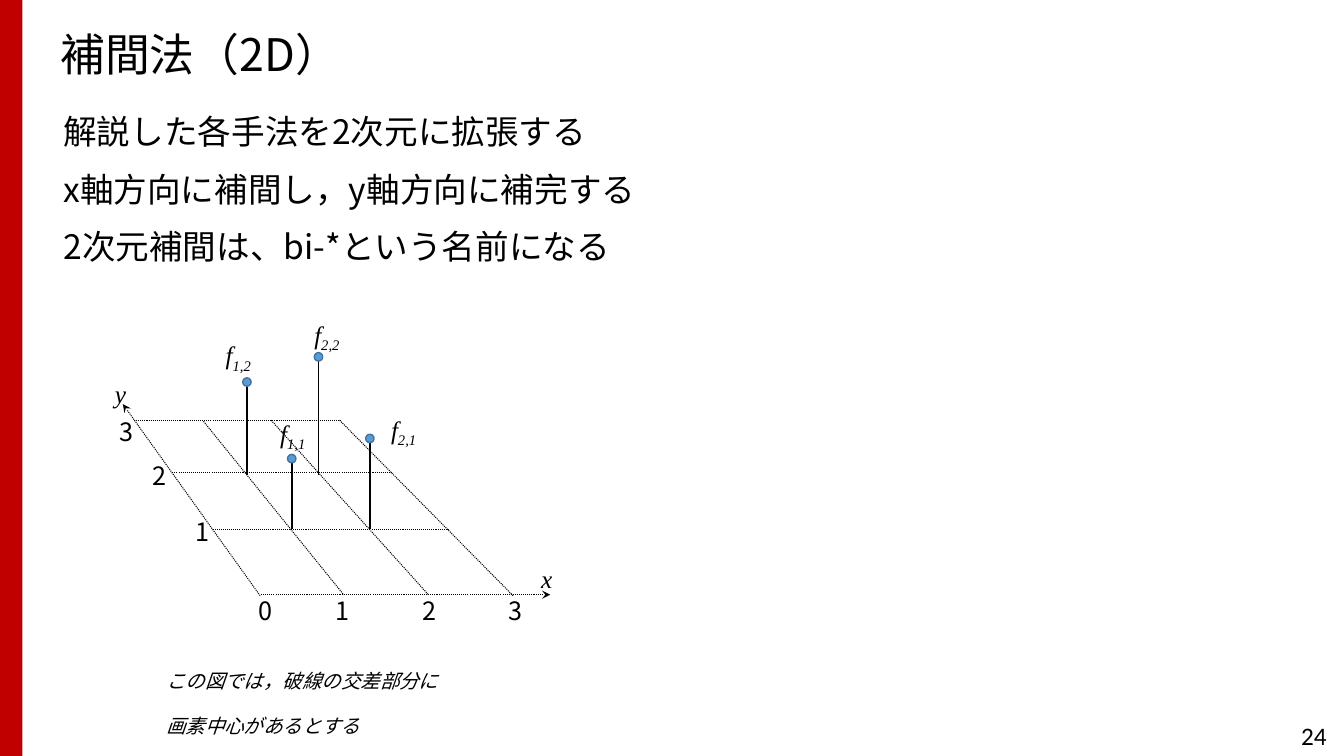
from typing import NamedTuple

from lxml import etree
from pptx import Presentation
from pptx.dml.color import RGBColor
from pptx.enum.dml import MSO_LINE
from pptx.enum.shapes import MSO_CONNECTOR, MSO_SHAPE
from pptx.enum.text import MSO_ANCHOR, PP_ALIGN
from pptx.oxml.ns import qn
from pptx.util import Pt

DOTTED = MSO_LINE.ROUND_DOT
STRAIGHT = MSO_CONNECTOR.STRAIGHT
RECT, OVAL = MSO_SHAPE.RECTANGLE, MSO_SHAPE.OVAL
MIDDLE = MSO_ANCHOR.MIDDLE
LEFT, RIGHT = PP_ALIGN.LEFT, PP_ALIGN.RIGHT
SANS, SERIF, PLAIN = "Noto Sans CJK JP", "Times New Roman", "Calibri"
BLACK, RED, BLUE, RIM = "000000", "C00000", "5B9BD5", "43739E"
DOT = 6


class Line(NamedTuple):
    x1: float
    y1: float
    x2: float
    y2: float
    arrow: bool = False


class Label(NamedTuple):
    text: str
    x: float
    y: float


class Sample(NamedTuple):
    x: float
    base: float
    top: float
    label: Label


GRID = [
    Line(95.8, 300.2, 243.4, 300.2),
    Line(123.1, 337.7, 280.8, 337.7),
    Line(151.9, 378, 320.4, 378),
    Line(186.5, 424.8, 393.1, 424.8, True),
    Line(185.8, 425.5, 87.8, 288.7, True),
    Line(145.4, 301, 245.5, 424.8),
    Line(193.7, 300.2, 306, 424.8),
    Line(242.6, 300.2, 366.5, 425.5),
]
SAMPLES = [
    Sample(176.4, 339.1, 272.9, Label("1,2", 154.1, 239)),
    Sample(227.5, 339.1, 254.9, Label("2,2", 217.4, 224.6)),
    Sample(208.4, 378, 327.6, Label("1,1", 193, 295.2)),
    Sample(264.2, 378, 313.2, Label("2,1", 272.2, 292.3)),
]
TICKS = [
    Label("0", 177.4, 421.9), Label("1", 232.6, 421.9),
    Label("2", 294.5, 421.9), Label("3", 356, 421.9),
    Label("1", 132.5, 365), Label("2", 102.2, 325.4), Label("3", 78.5, 293.8),
]
AXES = [Label("x", 379.4, 398.9), Label("y", 74.9, 266.4)]


def color(code: str) -> RGBColor:
    return RGBColor.from_string(code)


def add_shape(slide, kind, x: float, y: float, w: float, h: float,
              fill: str, rim: str = ""):
    shape = slide.shapes.add_shape(kind, Pt(x), Pt(y), Pt(w), Pt(h))
    shape.shadow.inherit = False
    shape.fill.solid()
    shape.fill.fore_color.rgb = color(fill)
    if rim:
        shape.line.color.rgb = color(rim)
        shape.line.width = Pt(1)
    else:
        shape.line.fill.background()


def add_line(slide, item: Line, width: float, dash=None):
    line = slide.shapes.add_connector(
        STRAIGHT, Pt(item.x1), Pt(item.y1), Pt(item.x2), Pt(item.y2))
    line.line.color.rgb = color(BLACK)
    line.line.width = Pt(width)
    if dash:
        line.line.dash_style = dash
    props = line._element.spPr
    if item.arrow:
        etree.SubElement(props.find(qn("a:ln")), qn("a:tailEnd"), type="stealth")
    etree.SubElement(props, qn("a:effectLst"))


def add_text(slide, lines: list[str], x: float, y: float, w: float, h: float,
             size: float, face: str = SANS, italic: bool = False,
             wrap: bool = True, align=LEFT):
    frame = slide.shapes.add_textbox(Pt(x), Pt(y), Pt(w), Pt(h)).text_frame
    frame.word_wrap = wrap
    frame.text = "\n".join(lines)
    for par in frame.paragraphs:
        par.alignment = align
        font = par.font
        font.name, font.size, font.italic = face, Pt(size), italic
        font.color.rgb = color(BLACK)
        # East Asian glyphs need their own typeface entry
        props = par._p.pPr.find(qn("a:defRPr"))
        etree.SubElement(props, qn("a:ea"), typeface=SANS)
    return frame


def lower(run):
    run._r.get_or_add_rPr().set("baseline", "-25000")


def add_label(slide, item: Label, face: str, italic: bool, width: float = 26):
    return add_text(slide, [item.text], item.x, item.y, width, 29, 18,
                    face, italic, False)


def add_sample(slide, item: Sample):
    add_line(slide, Line(item.x, item.base, item.x, item.top), 1.25)
    add_shape(slide, OVAL, item.x - DOT / 2, item.top - DOT / 2,
              DOT, DOT, BLUE, RIM)
    # The box must hold the letter and its index on one line
    name = add_label(slide, item.label._replace(text="f"), SERIF, True, 48)
    index = name.paragraphs[0].add_run()
    index.text = item.label.text
    lower(index)


def main():
    deck = Presentation()
    deck.slide_width, deck.slide_height = Pt(960), Pt(540)
    slide = deck.slides.add_slide(deck.slide_layouts[6])

    # Side bar, title and page number
    add_shape(slide, RECT, 0, 0, 16, 540, RED)
    title = add_text(slide, ["補間法（2D）"], 36, 12.2, 903.6, 57.6, 32)
    title.vertical_anchor = MIDDLE
    title.paragraphs[0].line_spacing = 0.9
    add_text(slide, ["24"], 738.7, 511.2, 216, 28.8, 18, PLAIN, align=RIGHT)

    # Main points
    points = add_text(slide, [
        "解説した各手法を2次元に拡張する",
        "x軸方向に補間し，y軸方向に補完する",
        "2次元補間は、bi-*という名前になる",
    ], 38.2, 75.6, 457.2, 118.8, 24)
    for par in points.paragraphs:
        par.line_spacing = Pt(29)
        par.space_after = Pt(12)

    # Grid with samples
    for item in GRID:
        add_line(slide, item, 0.75, DOTTED)
    for item in SAMPLES:
        add_sample(slide, item)
    for item in TICKS:
        add_label(slide, item, SANS, False)
    for item in AXES:
        add_label(slide, item, SERIF, True)

    # Caption
    note = add_text(slide, ["この図では，破線の交差部分に", "画素中心があるとする"],
                    111.6, 457.9, 240.5, 46.1, 24, SERIF, True, False)
    for par in note.paragraphs:
        lower(par.runs[0])

    deck.save("out.pptx")


if __name__ == "__main__":
    main()
